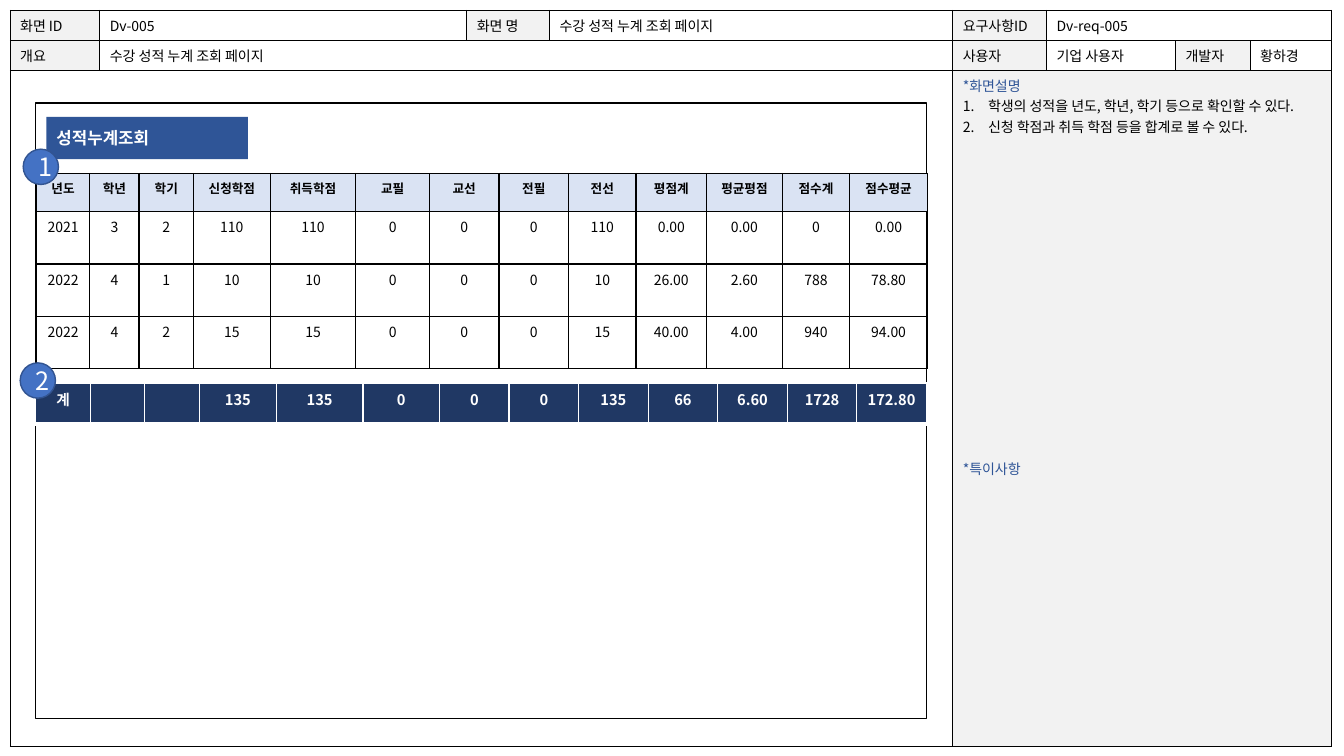
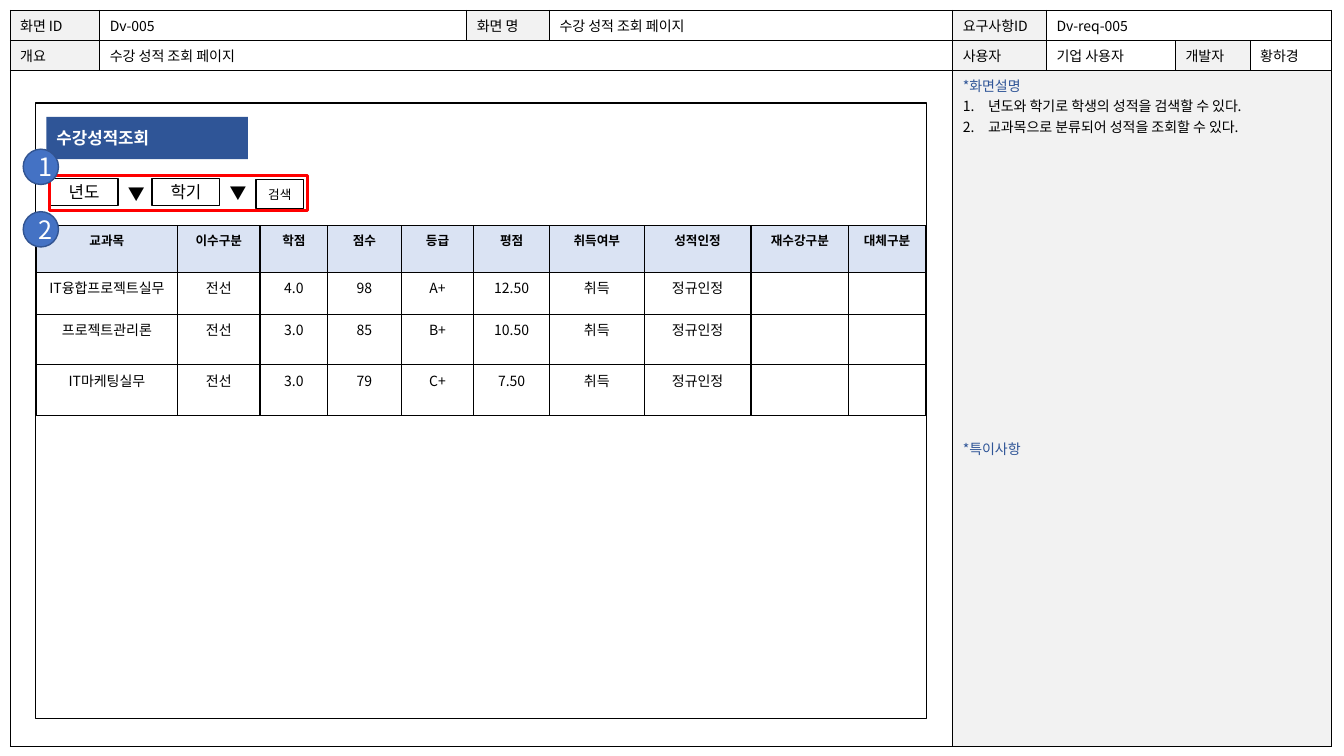
from dataclasses import dataclass

from lxml import etree
from pptx import Presentation
from pptx.dml.color import RGBColor
from pptx.enum.shapes import MSO_SHAPE
from pptx.enum.text import MSO_ANCHOR, MSO_AUTO_SIZE, PP_ALIGN
from pptx.oxml.ns import qn
from pptx.util import Inches, Pt

RECTANGLE, OVAL = MSO_SHAPE.RECTANGLE, MSO_SHAPE.OVAL
LEFT, CENTER = PP_ALIGN.LEFT, PP_ALIGN.CENTER
MIDDLE, TOP = MSO_ANCHOR.MIDDLE, MSO_ANCHOR.TOP
FIXED_SIZE = MSO_AUTO_SIZE.NONE
TITLE_ONLY = 5


@dataclass(frozen=True)
class Theme:
    """Colours, font and type sizes shared by the slides."""
    font: str = "Noto Sans CJK KR"
    black: str = "000000"
    white: str = "FFFFFF"
    label: str = "F2F2F2"
    heading: str = "2F5597"
    column_head: str = "DAE3F3"
    total: str = "203864"
    badge: str = "4472C4"
    badge_line: str = "325491"
    highlight: str = "FF0000"
    small: float = 9
    body: float = 10
    total_size: float = 10.5
    title: float = 12
    number: float = 18


THEME = Theme()

# Content: None in a row continues the cell to its left.
SHEET_COLUMNS = (0.89, 3.64, 0.82, 4, 0.93, 1.28, 0.74, 0.81)
SHEET_ROWS = (0.28, 0.29, 6.7)
SHEET_LABELS = {"화면 ID", "화면 명", "요구사항ID", "개요", "사용자", "개발자"}
DESCRIPTION_HEAD, REMARKS_HEAD = "*화면설명", "*특이사항"

CUMULATIVE = {
    "page": "수강 성적 누계 조회 페이지",
    "title": "성적누계조회",
    "notes": ("학생의 성적을 년도, 학년, 학기 등으로 확인할 수 있다.",
              "신청 학점과 취득 학점 등을 합계로 볼 수 있다."),
    "remarks_gap": 230,
    "grades_at": (0.36, 1.72),
    "columns": (0.53, 0.49, 0.54, 0.76, 0.85, 0.73, 0.69, 0.69, 0.67, 0.7,
                0.75, 0.67, 0.77),
    "rows": (0.38, 0.52, 0.52, 0.52),
    "grades": (
        ("년도", "학년", "학기", "신청학점", "취득학점", "교필", "교선", "전필",
         "전선", "평점계", "평균평점", "점수계", "점수평균"),
        ("2021", "3", "2", "110", "110", "0", "0", "0", "110", "0.00", "0.00",
         "0", "0.00"),
        ("2022", "4", "1", "10", "10", "0", "0", "0", "10", "26.00", "2.60",
         "788", "78.80"),
        ("2022", "4", "2", "15", "15", "0", "0", "0", "15", "40.00", "4.00",
         "940", "94.00"),
    ),
    "badges": ((0.23, 1.48), (0.2, 3.6)),
}
TOTAL_COLUMNS = (0.55, 0.53, 0.55, 0.76, 0.86, 0.76) + (0.69,) * 7
TOTALS = ("계", "", "", "135", "135", "0", "0", "0", "135", "66", "6.60",
          "1728", "172.80")

COURSES = {
    "page": "수강 성적 조회 페이지",
    "title": "수강성적조회",
    "notes": ("년도와 학기로 학생의 성적을 검색할 수 있다.",
              "교과목으로 분류되어 성적을 조회할 수 있다."),
    "remarks_gap": 216,
    "grades_at": (0.36, 2.24),
    "columns": (1.4, 0.82, 0.67, 0.73, 0.72, 0.75, 0.94, 1.06, 0.97, 0.76),
    "rows": (0.46, 0.42, 0.5, 0.5),
    "grades": (
        ("교과목", "이수구분", "학점", "점수", "등급", "평점", "취득여부",
         "성적인정", "재수강구분", "대체구분"),
        ("IT융합프로젝트실무", "전선", "4.0", "98", "A+", "12.50", "취득",
         "정규인정", "", ""),
        ("프로젝트관리론", "전선", "3.0", "85", "B+", "10.50", "취득",
         "정규인정", "", ""),
        ("IT마케팅실무", "전선", "3.0", "79", "C+", "7.50", "취득",
         "정규인정", "", ""),
    ),
    "badges": ((0.23, 1.48), (0.23, 2.1)),
}
SEARCH_BOXES = (
    ("년도", (0.5, 1.77, 0.67, 0.27), THEME.title),
    ("학기", (1.51, 1.77, 0.67, 0.27), THEME.title),
    ("검색", (2.54, 1.78, 0.47, 0.29), THEME.small),
)
DROP_ARROWS = ((1.17, 1.77), (2.18, 1.76))


def color(value):
    """Turn a hex string into a colour."""
    return RGBColor.from_string(value)


def set_values(target, values):
    """Set several attributes of one object."""
    for name, value in values.items():
        setattr(target, name, value)


def write(paragraph, text, size, ink=THEME.black, bold=False, align=LEFT):
    """Put formatted text in a paragraph; an empty one only gets its size."""
    paragraph.alignment = align
    if not text:
        etree.SubElement(paragraph._p, qn("a:endParaRPr"),
                         sz=str(int(size * 100)))
        return
    run = paragraph.add_run()
    run.text = text
    set_values(run.font, {"name": THEME.font, "size": Pt(size), "bold": bold})
    run.font.color.rgb = color(ink)
    etree.SubElement(run._r.get_or_add_rPr(), qn("a:ea"), typeface=THEME.font)


def add_box(slide, box, fill=None, line=None, width=1, kind=RECTANGLE):
    """Add a preset shape with its own fill and outline."""
    shape = slide.shapes.add_shape(kind, *map(Inches, box))
    shape.shadow.inherit = False
    if fill:
        shape.fill.solid()
        shape.fill.fore_color.rgb = color(fill)
    else:
        shape.fill.background()
    shape.line.color.rgb = color(line)
    shape.line.width = Pt(width)
    return shape


def style_cell(cell, fill, line, widths):
    """Give a cell its four borders, in order left, right, top, bottom, and fill."""
    properties = cell._tc.get_or_add_tcPr()
    for side, width in zip("LRTB", widths):
        border = etree.SubElement(properties, qn("a:ln" + side),
                                  w=str(Pt(width)))
        solid = etree.SubElement(border, qn("a:solidFill"))
        etree.SubElement(solid, qn("a:srgbClr"), val=line)
    if fill:
        cell.fill.solid()
        cell.fill.fore_color.rgb = color(fill)
    else:
        cell.fill.background()


def add_grid(slide, at, columns, heights, rows, look, line=THEME.black,
             widths=(1, 1, 1, 1)):
    """Add a table; look(row, text) returns a cell's fill and text format."""
    size = sum(columns), sum(heights)
    table = slide.shapes.add_table(len(rows), len(columns),
                                   *map(Inches, (*at, *size))).table
    set_values(table, {"first_row": False, "horz_banding": False})
    for column, width in zip(table.columns, columns):
        column.width = Inches(width)
    for row, height in zip(table.rows, heights):
        row.height = Inches(height)
    for row_index, texts in enumerate(rows):
        start = 0
        for column_index, text in enumerate(texts):
            cell = table.cell(row_index, column_index)
            fill, text_format = look(row_index, text)
            style_cell(cell, fill, line, widths)
            write(cell.text_frame.paragraphs[0], text, **text_format)
            if text is not None:
                start = column_index
            elif column_index + 1 == len(texts) or texts[column_index + 1] is not None:
                table.cell(row_index, start).merge(cell)
    return table


def sheet_look(row, text):
    """Grey for labels and the notes panel, white for values."""
    grey = text in SHEET_LABELS or text == DESCRIPTION_HEAD
    ink = THEME.heading if text == DESCRIPTION_HEAD else THEME.black
    return (THEME.label if grey else THEME.white,
            {"size": THEME.body, "ink": ink})


def grades_look(row, text):
    """Tinted bold head row above plain centred values."""
    if row == 0:
        return THEME.column_head, {"size": THEME.small, "bold": True,
                                   "align": CENTER}
    return None, {"size": THEME.body, "align": CENTER}


def total_look(row, text):
    """White bold figures on dark blue."""
    return THEME.total, {"size": THEME.total_size, "ink": THEME.white,
                         "bold": True, "align": CENTER}


def add_sheet(slide, content):
    """Add the specification sheet with its notes panel."""
    page = content["page"]
    rows = (
        ("화면 ID", "Dv-005", "화면 명", page, "요구사항ID", "Dv-req-005",
         None, None),
        ("개요", page, None, None, "사용자", "기업 사용자", "개발자", "황하경"),
        ("", None, None, None, DESCRIPTION_HEAD, None, None, None),
    )
    table = add_grid(slide, (0.1, 0.1), SHEET_COLUMNS, SHEET_ROWS, rows,
                     sheet_look, widths=(0.5,) * 4)
    panel = table.cell(2, 4).text_frame
    for note in content["notes"]:
        paragraph = panel.add_paragraph()
        write(paragraph, note, THEME.body)
        properties = paragraph._p.get_or_add_pPr()
        properties.set("marL", str(Inches(0.25)))
        properties.set("indent", str(-Inches(0.25)))
        etree.SubElement(properties, qn("a:buAutoNum"), type="arabicPeriod")
    remarks = panel.add_paragraph()
    remarks.space_before = Pt(content["remarks_gap"])
    write(remarks, REMARKS_HEAD, THEME.body, THEME.heading)


def add_title(slide, text):
    """Place the title placeholder as a blue band in front of the frame."""
    title = slide.shapes.title
    title.element.getparent().append(title.element)
    set_values(title, {"left": Inches(0.46), "top": Inches(1.16),
                       "width": Inches(2), "height": Inches(0.42)})
    title.fill.solid()
    title.fill.fore_color.rgb = color(THEME.heading)
    set_values(title.text_frame, {"vertical_anchor": MIDDLE, "word_wrap": True,
                                  "auto_size": FIXED_SIZE})
    write(title.text_frame.paragraphs[0], text, THEME.title, THEME.white, True)


def add_search_bar(slide):
    """Add the year and term selectors with the search button."""
    for text, box, size in SEARCH_BOXES:
        shape = add_box(slide, box, THEME.white, THEME.black)
        write(shape.text_frame.paragraphs[0], text, size, align=CENTER)
    for left, top in DROP_ARROWS:
        arrow = slide.shapes.add_textbox(*map(Inches, (left, top, 0.33, 0.3)))
        set_values(arrow.text_frame, {"word_wrap": True, "vertical_anchor": TOP})
        write(arrow.text_frame.paragraphs[0], "▼", THEME.title)
    add_box(slide, (0.49, 1.74, 2.56, 0.35), line=THEME.highlight, width=2.25)


def add_badges(slide, places):
    """Number the described areas with round badges."""
    for number, place in enumerate(places, 1):
        badge = add_box(slide, (*place, 0.35, 0.35), THEME.badge,
                        THEME.badge_line, kind=OVAL)
        write(badge.text_frame.paragraphs[0], str(number), THEME.number,
              THEME.white, align=CENTER)


def add_totals(slide):
    """Add the dark row of totals."""
    add_grid(slide, (0.35, 3.8), TOTAL_COLUMNS, (0.41,), (TOTALS,), total_look,
             THEME.white, (1, 1, 1, 3))


def add_screen(presentation, content, add_extra):
    """Build one screen specification slide."""
    slide = presentation.slides.add_slide(presentation.slide_layouts[TITLE_ONLY])
    add_sheet(slide, content)
    add_box(slide, (0.35, 1.02, 8.84, 6.11), THEME.white, THEME.black)
    add_grid(slide, content["grades_at"], content["columns"], content["rows"],
             content["grades"], grades_look)
    add_title(slide, content["title"])
    add_extra(slide)
    add_badges(slide, content["badges"])


presentation = Presentation()
set_values(presentation, {"slide_width": Inches(13.33),
                          "slide_height": Inches(7.5)})
add_screen(presentation, CUMULATIVE, add_totals)
add_screen(presentation, COURSES, add_search_bar)
presentation.save("out.pptx")
